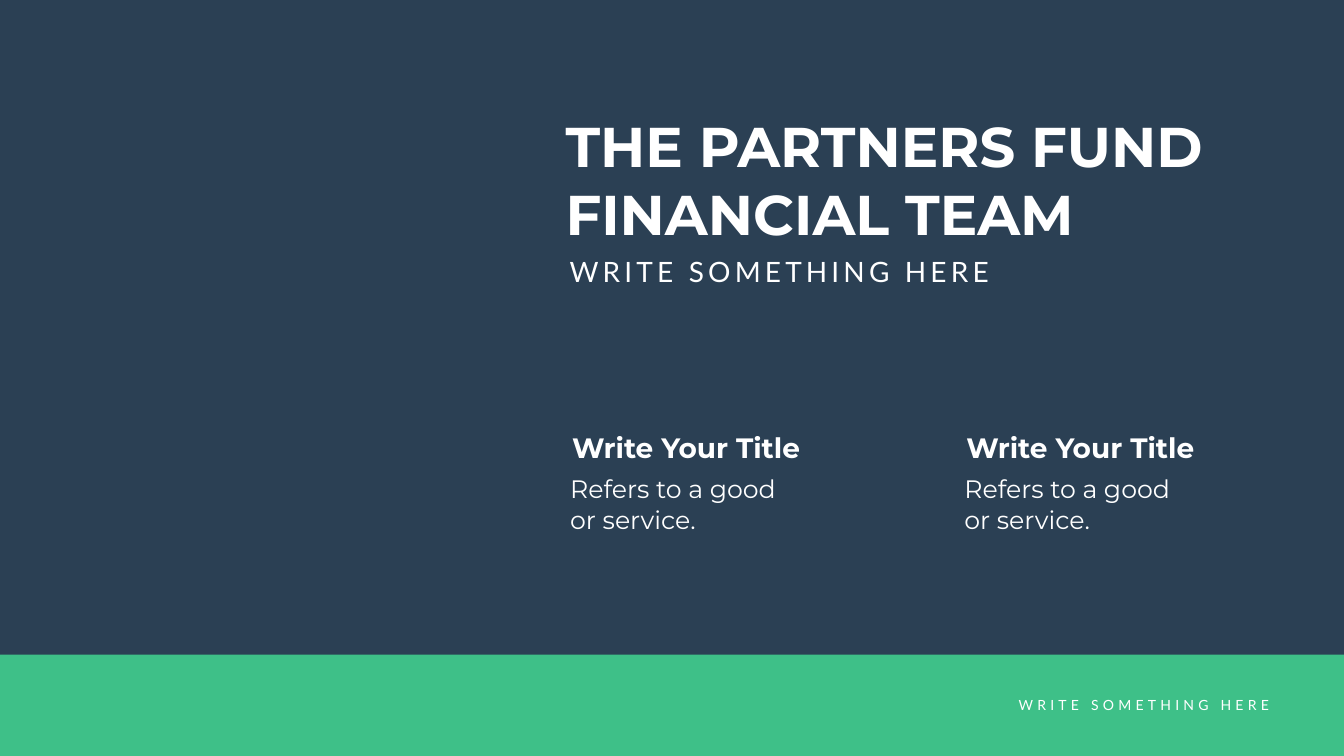
from pptx import Presentation
from pptx.dml.color import RGBColor
from pptx.enum.shapes import MSO_SHAPE
from pptx.enum.text import MSO_AUTO_SIZE, PP_ALIGN
from pptx.util import Emu, Pt

PX = 9144  # EMU per px, at 100 px to the inch
W, H = 2666, 1500
NAVY, GREEN, WHITE = "2B4054", "3EC088", "FFFFFF"

TITLE = dict(name="Montserrat", size=Pt(80), bold=True)
HEADING = dict(name="Montserrat", size=Pt(40), bold=True)
BODY = dict(name="Montserrat", size=Pt(36))
SUBTITLE = dict(name="Lato", size=Pt(40))
FOOTER = dict(name="Lato", size=Pt(20))


def px(n):
    return Emu(n * PX)


def rgb(value):
    return RGBColor.from_string(value)


class Deck:
    def __init__(self):
        self.prs = Presentation()
        self.prs.slide_width, self.prs.slide_height = px(W), px(H)
        self.s = self.prs.slides.add_slide(self.prs.slide_layouts[6])

    def rect(self, x, y, w, h, color):
        sp = self.s.shapes.add_shape(MSO_SHAPE.RECTANGLE, px(x), px(y), px(w), px(h))
        sp.shadow.inherit = False
        sp.fill.solid()
        sp.fill.fore_color.rgb = rgb(color)
        sp.line.fill.background()

    def text(self, x, y, w, h, text, style, inset=(10, 5), spacing=0, align=PP_ALIGN.LEFT):
        tf = self.s.shapes.add_textbox(px(x), px(y), px(w), px(h)).text_frame
        dx, dy = map(px, inset)
        frame = dict(word_wrap=True, auto_size=MSO_AUTO_SIZE.SHAPE_TO_FIT_TEXT,
                     margin_left=dx, margin_right=dx, margin_top=dy, margin_bottom=dy)
        for key, value in frame.items():
            setattr(tf, key, value)
        p = tf.paragraphs[0]
        p.alignment = align
        r = p.add_run()
        r.text = text
        for key, value in style.items():
            setattr(r.font, key, value)
        r.font.color.rgb = rgb(WHITE)
        if spacing:  # letter spacing in points
            r.font._element.set("spc", str(spacing * 100))


def main():
    d = Deck()

    # Background and footer band
    d.rect(0, 0, W, H, NAVY)
    d.rect(0, 1299, W, 201, GREEN)

    # Title block
    d.text(1112, 217, 1352, 279, "THE PARTNERS FUND FINANCIAL TEAM", TITLE)
    d.text(1120, 500, 939, 77, "WRITE SOMETHING HERE", SUBTITLE, spacing=6)

    # Two text columns
    for x in (1107, 1889):
        d.text(x + 18, 850, 567, 77, "Write Your Title", HEADING)
        d.text(x, 928, 480, 145, "Refers to a good or service.", BODY, inset=(24, 12))

    # Footer
    d.text(1588, 1378, 939, 44, "WRITE SOMETHING HERE", FOOTER,
           spacing=6, align=PP_ALIGN.RIGHT)

    d.prs.save("out.pptx")


if __name__ == "__main__":
    main()
